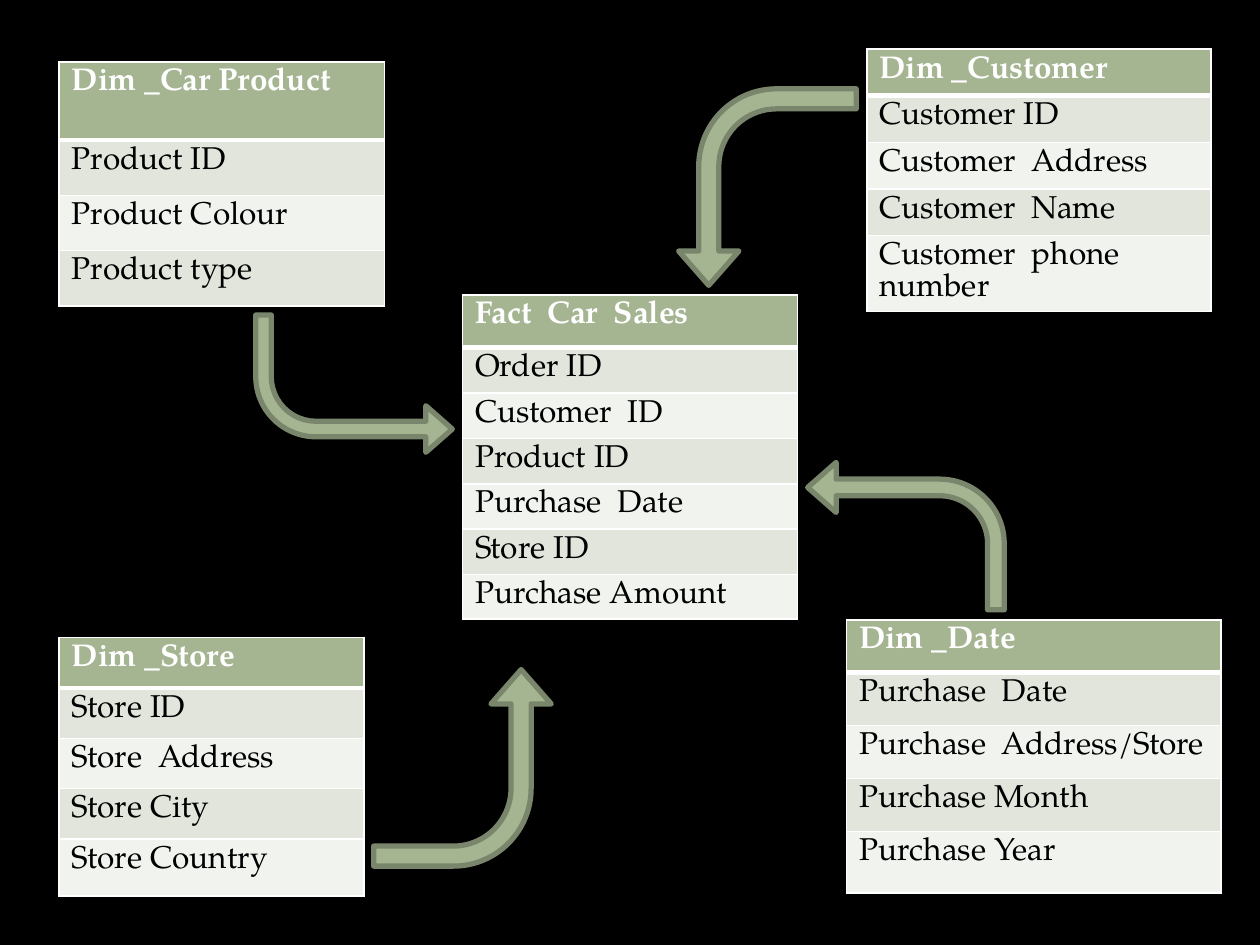
from lxml import etree
from pptx import Presentation
from pptx.dml.color import RGBColor
from pptx.enum.shapes import MSO_SHAPE
from pptx.oxml.ns import qn
from pptx.util import Inches, Pt

BENT_ARROW = MSO_SHAPE.BENT_ARROW
BLANK_LAYOUT = 6
COLORS = {
    "background": "000000",
    "header": "A5B592",
    "odd": "E1E5DC",
    "even": "F0F3EE",
    "border": "FFFFFF",
    "header_text": "FFFFFF",
    "body_text": "000000",
    "arrow_line": "7A866C",
}
ARROW_ADJUSTMENTS = (0.113, 0.17, 0.193, 0.438)

# left, top, width, row heights, header followed by fields
TABLES = [
    (0.47, 0.49, 2.58, [0.62] + [0.44] * 3,
     ["Dim _Car Product", "Product ID", "Product Colour", "Product type"]),
    (6.88, 0.39, 2.73, [0.37] * 4 + [0.55],
     ["Dim _Customer", "Customer ID", "Customer  Address", "Customer  Name",
      "Customer  phone number"]),
    (6.72, 4.92, 2.97, [0.42] * 4 + [0.49],
     ["Dim _Date", "Purchase  Date", "Purchase  Address/Store",
      "Purchase Month", "Purchase Year"]),
    (0.47, 5.06, 2.42, [0.4] * 4 + [0.45],
     ["Dim _Store", "Store ID", "Store  Address", "Store City",
      "Store Country"]),
    (3.67, 2.34, 2.66, [0.42] + [0.36] * 5 + [0.31],
     ["Fact  Car  Sales", "Order ID", "Customer  ID", "Product ID",
      "Purchase  Date", "Store ID", "Purchase Amount"]),
]

# left, top, width, height, rotation, flip attribute
ARROWS = [
    (2.03, 2.5, 1.56, 1.09, 180, "flipH"),
    (5.31, 0.78, 1.56, 1.41, 270, "flipH"),
    (2.89, 5.39, 1.56, 1.41, 270, "flipV"),
    (6.41, 3.67, 1.56, 1.17, 180, "flipV"),
]


def color(name):
    return RGBColor.from_string(COLORS[name])


class SchemaPage:
    """Holds the style and the slide that tables and arrows are drawn on."""

    text_format = {"name": "TeX Gyre Pagella", "size": Pt(18)}

    def __init__(self, deck):
        self.page = deck.slides.add_slide(deck.slide_layouts[BLANK_LAYOUT])
        fill = self.page.background.fill
        fill.solid()
        fill.fore_color.rgb = color("background")

    def table(self, left, top, width, heights, labels):
        frame = self.page.shapes.add_table(
            len(labels), 1, Inches(left), Inches(top),
            Inches(width), Inches(sum(heights)))
        table = frame.table
        for index, (height, label) in enumerate(zip(heights, labels)):
            table.rows[index].height = Inches(height)
            self.cell(table.cell(index, 0), label, index)

    def cell(self, cell, label, index):
        is_header = index == 0
        fill_name = "header" if is_header else ("even", "odd")[index % 2]
        cell.fill.solid()
        cell.fill.fore_color.rgb = color(fill_name)
        self.borders(cell, top=3 if index == 1 else 1,
                     bottom=3 if is_header else 1)
        para = cell.text_frame.paragraphs[0]
        span = para.add_run()
        span.text = label
        for name, value in {**self.text_format, "bold": is_header}.items():
            setattr(span.font, name, value)
        span.font.color.rgb = color(
            "header_text" if is_header else "body_text")

    def borders(self, cell, top, bottom):
        """Put the border lines ahead of the fill, as the schema requires."""
        properties = cell._tc.get_or_add_tcPr()
        widths = {"a:lnL": 1, "a:lnR": 1, "a:lnT": top, "a:lnB": bottom}
        for position, (tag, width) in enumerate(widths.items()):
            line = etree.Element(qn(tag), w=str(Pt(width)))
            fill = etree.SubElement(line, qn("a:solidFill"))
            etree.SubElement(fill, qn("a:srgbClr"), val=COLORS["border"])
            properties.insert(position, line)

    def arrow(self, left, top, width, height, rotation, flip):
        shape = self.page.shapes.add_shape(
            BENT_ARROW, Inches(left), Inches(top),
            Inches(width), Inches(height))
        shape.shadow.inherit = False
        shape.rotation = rotation
        shape._element.spPr.xfrm.set(flip, "1")
        for index, value in enumerate(ARROW_ADJUSTMENTS):
            shape.adjustments[index] = value
        shape.fill.solid()
        shape.fill.fore_color.rgb = color("header")
        shape.line.color.rgb = color("arrow_line")
        shape.line.width = Pt(3)


def main():
    deck = Presentation()
    deck.slide_width, deck.slide_height = Inches(10), Inches(7.5)
    schema = SchemaPage(deck)
    for table in TABLES:
        schema.table(*table)
    for arrow in ARROWS:
        schema.arrow(*arrow)
    deck.save("out.pptx")


if __name__ == "__main__":
    main()
